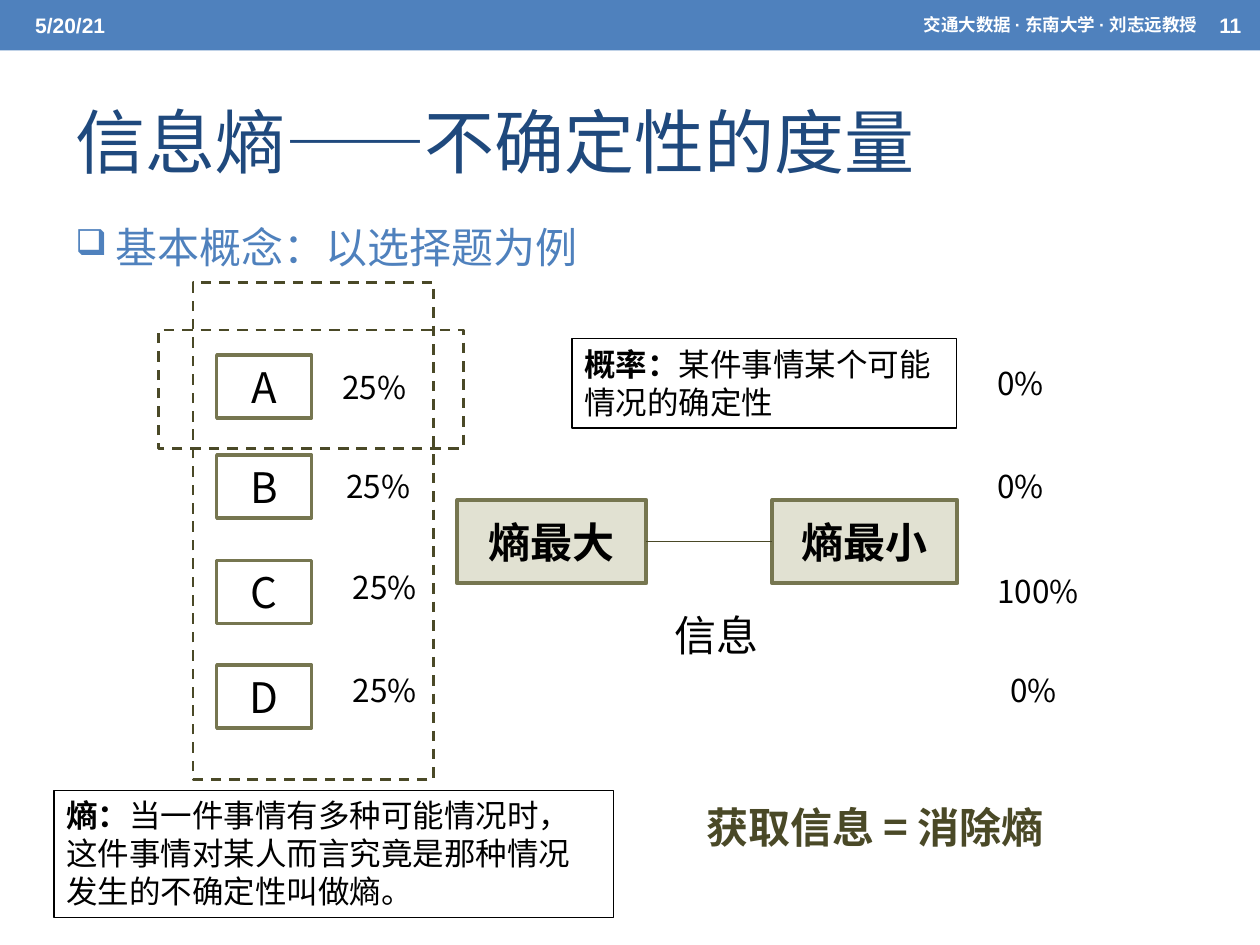
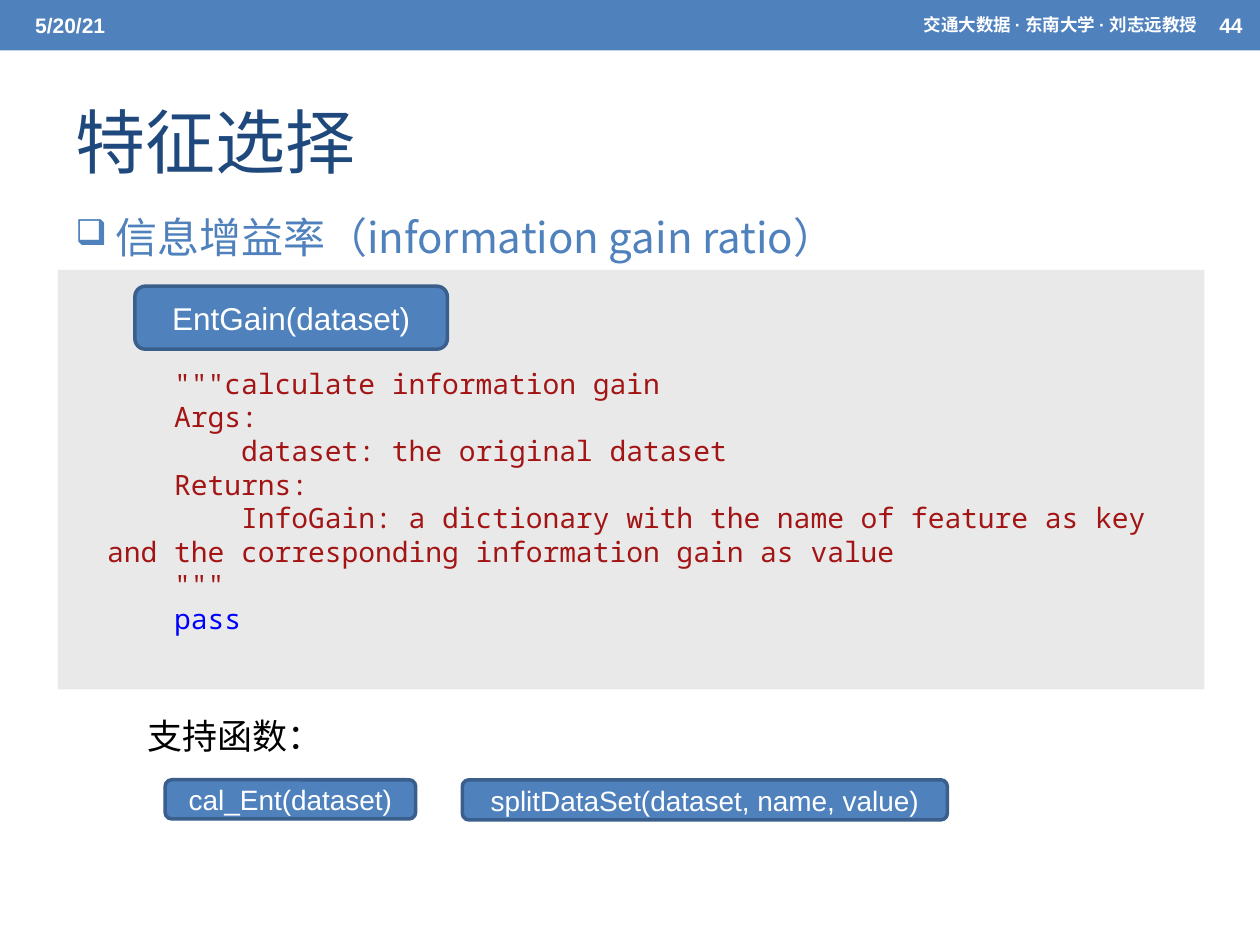
from lxml import etree
from pptx import Presentation
from pptx.dml.color import RGBColor
from pptx.enum.dml import MSO_LINE
from pptx.enum.shapes import MSO_CONNECTOR, MSO_SHAPE
from pptx.enum.text import MSO_ANCHOR, PP_ALIGN
from pptx.oxml.ns import qn
from pptx.util import Cm, Pt

# Colours
BLUE = RGBColor(0x4F, 0x81, 0xBD)
NAVY = RGBColor(0x1F, 0x49, 0x7D)
BUTTON_EDGE = RGBColor(0x3A, 0x5F, 0x8C)
OLIVE = RGBColor(0x76, 0x76, 0x50)
DARK_OLIVE = RGBColor(0x4A, 0x49, 0x27)
PALE_OLIVE = RGBColor(0xD7, 0xD7, 0xC3)
GRAY = RGBColor(0xBF, 0xBF, 0xBF)
BLACK = RGBColor(0, 0, 0)
WHITE = RGBColor(0xFF, 0xFF, 0xFF)
CODE_RED = RGBColor(0xA3, 0x15, 0x15)
CODE_BLUE = RGBColor(0, 0, 0xFF)

# Text formats
CJK = "Noto Sans CJK SC"
TITLE = {"size": Pt(40), "name": CJK, "color": NAVY}
HEADING = {"size": Pt(24), "name": CJK, "color": BLUE}
HEADER = {"size": Pt(12), "name": "Arial", "color": WHITE, "bold": True}
COURSE = HEADER | {"size": Pt(10)}
LARGE = {"size": Pt(24), "name": CJK, "color": BLACK}
LARGE_BOLD = LARGE | {"bold": True}
BODY = LARGE | {"size": Pt(18)}
BODY_BOLD = BODY | {"bold": True}
BUTTON = {"size": Pt(18), "name": "Arial", "color": WHITE}
SMALL_BUTTON = BUTTON | {"size": Pt(16)}
CODE = {"size": Pt(16), "name": "Noto Sans Mono", "color": CODE_RED}


def add_box(page, kind, at, fill=None, line=None, alpha=None):
    """Add a preset shape, or a text box when kind is None; at is in cm."""
    place = [Cm(value) for value in at]
    if kind is None:
        box = page.shapes.add_textbox(*place)
    else:
        box = page.shapes.add_shape(kind, *place)
        box.shadow.inherit = False
    if fill is None:
        box.fill.background()
    else:
        box.fill.solid()
        box.fill.fore_color.rgb = fill
    if alpha is not None:
        color = box.fill._xPr.find(qn("a:solidFill"))[0]
        etree.SubElement(color, qn("a:alpha"), val=str(alpha * 1000))
    if line is None:
        box.line.fill.background()
    else:
        box.line.color.rgb, box.line.width = line
    return box


def write(box, lines, align=PP_ALIGN.LEFT, anchor=MSO_ANCHOR.TOP):
    """Fill a box with lines, each a list of (text, format) spans."""
    frame = box.text_frame
    frame.word_wrap = True
    frame.vertical_anchor = anchor
    for index, spans in enumerate(lines):
        para = frame.add_paragraph() if index else frame.paragraphs[0]
        para.alignment = align
        for text, style in spans:
            span = para.add_run()
            span.text = text
            for key, value in style.items():
                if key == "color":
                    span.font.color.rgb = value
                else:
                    setattr(span.font, key, value)
            etree.SubElement(span.font._element, qn("a:ea"), typeface=CJK)
    return frame


deck = Presentation()
deck.slide_width, deck.slide_height = Cm(25.4), Cm(19.05)
centered = {"align": PP_ALIGN.CENTER, "anchor": MSO_ANCHOR.MIDDLE}

# Shared band, header texts, title and bulleted heading
pages = []
for number, title, heading, heading_top in [
    ("11", "信息熵——不确定性的度量", "基本概念：以选择题为例", 3.84),
    ("44", "特征选择", "信息增益率（information gain ratio）", 3.63),
]:
    page = deck.slides.add_slide(deck.slide_layouts[6])
    pages.append(page)
    add_box(page, MSO_SHAPE.RECTANGLE, (0, 0, 25.4, 1.02), BLUE)
    for text, style, at, align in [
        (title, TITLE, (1.27, 1.47, 22.86, 2.74), PP_ALIGN.LEFT),
        ("5/20/21", HEADER, (0.46, 0.05, 8.05, 0.91), PP_ALIGN.LEFT),
        ("交通大数据 · 东南大学 · 刘志远教授", COURSE,
         (10.97, 0.05, 13.41, 0.91), PP_ALIGN.RIGHT),
        (number, HEADER, (24.33, 0.05, 1.07, 0.91), PP_ALIGN.LEFT),
    ]:
        write(add_box(page, None, at), [[(text, style)]], align, MSO_ANCHOR.MIDDLE)

    box = add_box(page, None, (1.27, heading_top, 22.58, 1.8))
    para = write(box, [[(heading, HEADING)]]).paragraphs[0]
    para.line_spacing = 1.5
    marks = para._p.get_or_add_pPr()
    marks.set("marL", str(Cm(0.8)))
    marks.set("indent", str(-Cm(0.8)))
    bullet_color = etree.SubElement(marks, qn("a:buClr"))
    etree.SubElement(bullet_color, qn("a:srgbClr"), val=str(BLUE))
    etree.SubElement(marks, qn("a:buSzPct"), val="85000")
    etree.SubElement(marks, qn("a:buChar"), char="❑")

entropy_page, code_page = pages

# Entropy states joined by a line
states = []
for text, left, width in [("熵最大", 9.22, 3.81), ("熵最小", 15.57, 3.73)]:
    box = add_box(entropy_page, MSO_SHAPE.RECTANGLE, (left, 10.08, width, 1.68),
                  PALE_OLIVE, (OLIVE, Pt(2.25)), alpha=75)
    write(box, [[(text, LARGE_BOLD)]], **centered)
    states.append(box)
link = entropy_page.shapes.add_connector(MSO_CONNECTOR.STRAIGHT, 0, 0, 0, 0)
link.begin_connect(states[0], 3)
link.end_connect(states[1], 1)
link.line.color.rgb, link.line.width = DARK_OLIVE, Pt(0.75)
etree.SubElement(link._element.spPr, qn("a:effectLst"))

# Answer options with the chances before and after
for option, top, before, after in [
    ("A", 7.16, ("25%", 6.65, 7.29), ("0%", 19.86, 7.21)),
    ("B", 9.17, ("25%", 6.73, 9.3), ("0%", 19.86, 9.3)),
    ("C", 11.3, ("25%", 6.86, 11.33), ("100%", 19.86, 11.4)),
    ("D", 13.41, ("25%", 6.86, 13.41), ("0%", 20.12, 13.41)),
]:
    box = add_box(entropy_page, MSO_SHAPE.RECTANGLE, (4.37, top, 1.91, 1.27),
                  line=(OLIVE, Pt(2)))
    write(box, [[(option, LARGE)]], **centered)
    for chance, left, chance_top in (before, after):
        box = add_box(entropy_page, None, (left, chance_top, 2.57, 1.02))
        write(box, [[(chance, BODY)]])

# Dashed frames around one option and around all options
for at in [(3.2, 6.65, 6.15, 2.39), (3.89, 5.69, 4.85, 10.03)]:
    box = add_box(entropy_page, MSO_SHAPE.RECTANGLE, at, line=(DARK_OLIVE, Pt(1.5)))
    box.line.dash_style = MSO_LINE.DASH

# Definitions
for term, meaning, at in [
    ("概率：", "某件事情某个可能情况的确定性", (11.53, 6.83, 7.75, 1.8)),
    ("熵：", "当一件事情有多种可能情况时，这件事情对某人而言究竟是那种情况发生的不确定性叫做熵。",
     (1.09, 15.93, 11.28, 2.57)),
]:
    box = add_box(entropy_page, None, at, line=(BLACK, Pt(0.75)))
    write(box, [[(term, BODY_BOLD), (meaning, BODY)]])

# Link label and conclusion
write(add_box(entropy_page, None, (13.34, 12.17, 3.81, 1.27)), [[("信息", LARGE)]])
write(add_box(entropy_page, None, (13.84, 16.03, 7.6, 1.27)),
      [[("获取信息 = 消除熵", LARGE_BOLD | {"color": DARK_OLIVE})]], PP_ALIGN.CENTER)

# Code panel
add_box(code_page, MSO_SHAPE.RECTANGLE, (1.17, 5.44, 23.11, 8.46), GRAY, alpha=34)
docstring = [
    '    """calculate information gain',
    "    Args:",
    "        dataset: the original dataset",
    "    Returns:",
    "        InfoGain: a dictionary with the name of feature as key"
    " and the corresponding information gain as value",
    '    """',
]
code_lines = [[(text, CODE)] for text in docstring]
code_lines.append([("    pass", CODE | {"color": CODE_BLUE})])
write(add_box(code_page, None, (1.91, 7.26, 21.92, 5.74)), code_lines)

# Function buttons
for text, style, at in [
    ("EntGain(dataset)", BUTTON, (2.72, 5.77, 6.3, 1.27)),
    ("cal_Ent(dataset)", SMALL_BUTTON, (3.33, 15.72, 5.05, 0.79)),
    ("splitDataSet(dataset, name, value)", SMALL_BUTTON, (9.32, 15.72, 9.78, 0.81)),
]:
    box = add_box(code_page, MSO_SHAPE.ROUNDED_RECTANGLE, at, BLUE, (BUTTON_EDGE, Pt(2)))
    write(box, [[(text, style)]], **centered)
write(add_box(code_page, None, (2.72, 14.27, 4.5, 1.12)),
      [[("支持函数：", LARGE | {"size": Pt(20)})]])

deck.save("out.pptx")
